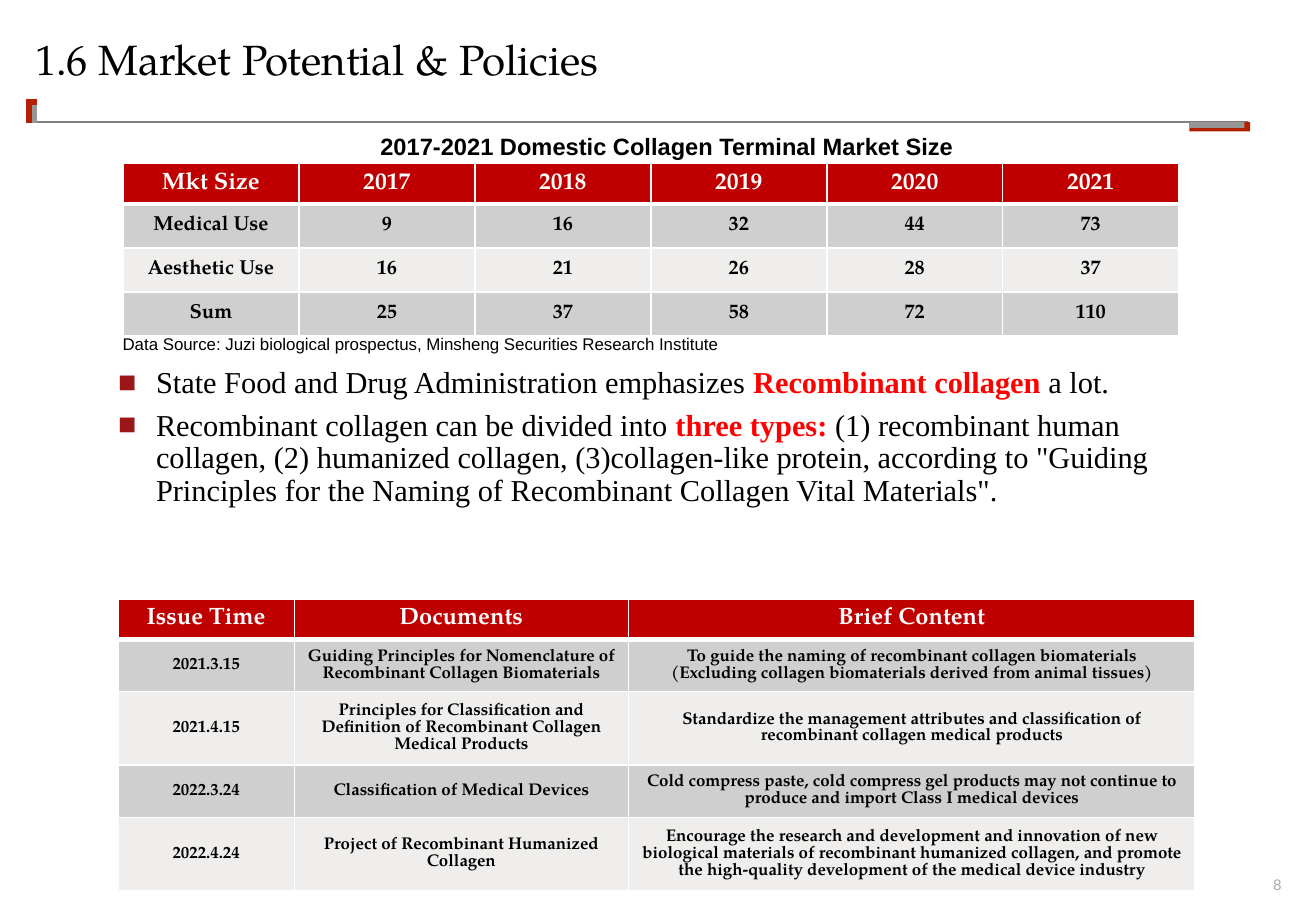
from lxml.etree import SubElement
from pptx import Presentation
from pptx.dml.color import RGBColor
from pptx.enum.shapes import MSO_CONNECTOR, MSO_SHAPE
from pptx.enum.text import MSO_ANCHOR, PP_ALIGN
from pptx.oxml.ns import qn
from pptx.util import Pt

COLORS = {
    "black": "000000", "white": "FFFFFF", "header": "C00000",
    "band": "D0CFD0", "plain": "EFEEEC", "emphasis": "FF0000",
    "bullet": "9B1717", "corner": "B42100", "shade": "969696",
    "rule": "808080", "number": "ADABA1",
}
SERIF = "TeX Gyre Pagella"
SANS = "Arial"
BODY = "Times New Roman"

MARKET = [
    ["Mkt Size", "2017", "2018", "2019", "2020", "2021"],
    ["Medical Use", "9", "16", "32", "44", "73"],
    ["Aesthetic Use", "16", "21", "26", "28", "37"],
    ["Sum", "25", "37", "58", "72", "110"],
]
POLICIES = [
    ["Issue Time", "Documents", "Brief Content"],
    ["2021.3.15",
     "Guiding Principles for Nomenclature of Recombinant Collagen Biomaterials",
     "To guide the naming of recombinant collagen biomaterials\n"
     "(Excluding collagen biomaterials derived from animal tissues)"],
    ["2021.4.15",
     "Principles for Classification and Definition of Recombinant Collagen Medical Products",
     "Standardize the management attributes and classification of "
     "recombinant collagen medical products"],
    ["2022.3.24",
     "Classification of Medical Devices",
     "Cold compress paste, cold compress gel products may not continue to "
     "produce and import Class I medical devices"],
    ["2022.4.24",
     "Project of Recombinant Humanized Collagen",
     "Encourage the research and development and innovation of new biological "
     "materials of recombinant humanized collagen, and promote the high-quality "
     "development of the medical device industry"],
]
POINTS = [
    [("State Food and Drug Administration emphasizes ", False),
     ("Recombinant collagen", True),
     (" a lot.", False)],
    [("Recombinant collagen can be divided into ", False),
     ("three types:", True),
     (" (1) recombinant human collagen, (2) humanized collagen, "
      "(3)collagen-like protein, according to \"Guiding Principles for the "
      "Naming of Recombinant Collagen Vital Materials\".", False)],
]


def rgb(name):
    return RGBColor.from_string(COLORS[name])


class SlideBuilder:
    def __init__(self, page):
        self.page = page

    def style(self, span, font, size, color="black", bold=False):
        span.font.name = font
        span.font.size = Pt(size)
        span.font.bold = bold
        span.font.color.rgb = rgb(color)

    def clear_margins(self, frame, anchor=MSO_ANCHOR.TOP):
        frame.margin_left = frame.margin_right = 0
        frame.margin_top = frame.margin_bottom = 0
        frame.word_wrap = True
        frame.vertical_anchor = anchor

    def title(self, text, left, top, width, height):
        box = self.page.shapes.title
        box.left, box.top, box.width, box.height = map(Pt, (left, top, width, height))
        self.clear_margins(box.text_frame)
        box.text_frame.text = text
        para = box.text_frame.paragraphs[0]
        para.alignment = PP_ALIGN.LEFT
        para.line_spacing = 0.9
        self.style(para.runs[0], SERIF, 25)

    def frame(self, left, top, width, height, anchor=MSO_ANCHOR.TOP):
        box = self.page.shapes.add_textbox(*map(Pt, (left, top, width, height)))
        self.clear_margins(box.text_frame, anchor)
        return box.text_frame

    def label(self, text, bounds, size, color="black", bold=False,
              align=PP_ALIGN.LEFT, anchor=MSO_ANCHOR.TOP):
        frame = self.frame(*bounds, anchor)
        frame.text = text
        para = frame.paragraphs[0]
        para.alignment = align
        para.line_spacing = 0.9
        self.style(para.runs[0], SANS, size, color, bold)

    def bullets(self, points, bounds, indent=22.5):
        frame = self.frame(*bounds)
        for index, pieces in enumerate(points):
            para = frame.add_paragraph() if index else frame.paragraphs[0]
            para.line_spacing = 0.9
            para.space_before = Pt(6 if index else 0)
            properties = para._p.get_or_add_pPr()
            properties.set("marL", str(Pt(indent)))
            properties.set("indent", str(-Pt(indent)))
            tint = SubElement(properties, qn("a:buClr"))
            SubElement(tint, qn("a:srgbClr")).set("val", COLORS["bullet"])
            SubElement(properties, qn("a:buFont")).set("typeface", SANS)
            SubElement(properties, qn("a:buChar")).set("char", "■")
            for text, strong in pieces:
                span = para.add_run()
                span.text = text
                self.style(span, BODY, 18, "emphasis" if strong else "black", strong)

    def line(self, start, end, color, width):
        line = self.page.shapes.add_connector(
            MSO_CONNECTOR.STRAIGHT, *map(Pt, start + end))
        line.line.color.rgb = rgb(color)
        line.line.width = Pt(width)
        SubElement(line._element.spPr, qn("a:effectLst"))

    def bar(self, bounds, color):
        bar = self.page.shapes.add_shape(MSO_SHAPE.RECTANGLE, *map(Pt, bounds))
        bar.shadow.inherit = False
        bar.fill.solid()
        bar.fill.fore_color.rgb = rgb(color)
        bar.line.fill.background()

    def borders(self, cell, row):
        widths = {"lnL": 1, "lnR": 1, "lnT": 3 if row == 1 else 1,
                  "lnB": 3 if row == 0 else 1}
        properties = cell._tc.get_or_add_tcPr()
        for side, width in widths.items():
            edge = SubElement(properties, qn("a:" + side))
            edge.set("w", str(Pt(width)))
            fill = SubElement(edge, qn("a:solidFill"))
            SubElement(fill, qn("a:srgbClr")).set("val", COLORS["white"])

    def table(self, rows, left, top, widths, heights, size):
        table = self.page.shapes.add_table(
            len(rows), len(widths), Pt(left), Pt(top),
            Pt(sum(widths)), Pt(sum(heights))).table
        for column, width in zip(table.columns, widths):
            column.width = Pt(width)
        for row, (texts, height) in enumerate(zip(rows, heights)):
            table.rows[row].height = Pt(height)
            fill = "header" if row == 0 else "band" if row % 2 else "plain"
            color = "black" if row else "white"
            font_size = size if row else 14
            for column, text in enumerate(texts):
                cell = table.cell(row, column)
                self.borders(cell, row)
                cell.fill.solid()
                cell.fill.fore_color.rgb = rgb(fill)
                cell.vertical_anchor = MSO_ANCHOR.MIDDLE
                cell.text_frame.text = text
                for para in cell.text_frame.paragraphs:
                    para.alignment = PP_ALIGN.CENTER
                    para.line_spacing = Pt(font_size)
                    self.style(para.runs[0], SERIF, font_size, color, True)


def main():
    deck = Presentation()
    deck.slide_width, deck.slide_height = Pt(780), Pt(540)
    slide = SlideBuilder(deck.slides.add_slide(deck.slide_layouts[5]))

    slide.label("8", (737.3, 519, 22.3, 11), 9, "number",
                align=PP_ALIGN.RIGHT, anchor=MSO_ANCHOR.BOTTOM)
    slide.line((21.6, 72.5), (740, 72.5), "rule", 1)
    slide.line((18.7, 73), (18.7, 58.5), "corner", 6)
    slide.line((20.2, 73), (20.2, 62), "shade", 3)
    slide.bar((705, 72.3, 36, 5.6), "corner")
    slide.bar((705, 72.3, 32.5, 3.5), "shade")

    slide.title("1.6 Market Potential & Policies", 21, 23, 738, 48)
    slide.bullets(POINTS, (70, 217.5, 628.6, 126))
    slide.table(MARKET, 72.9, 97, [104.3] * 6, [24] + [26] * 3, 12)
    slide.label("2017-2021 Domestic Collagen Terminal Market Size",
                (225.4, 80, 353.5, 15), 14, bold=True)
    slide.label("Data Source: Juzi biological prospectus, Minsheng Securities Research Institute",
                (72.7, 199, 418, 11), 10)
    slide.table(POLICIES, 70, 355, [104.4, 198, 336], [24, 31, 43.5, 31, 43.5], 10)

    deck.save("out.pptx")


if __name__ == "__main__":
    main()
